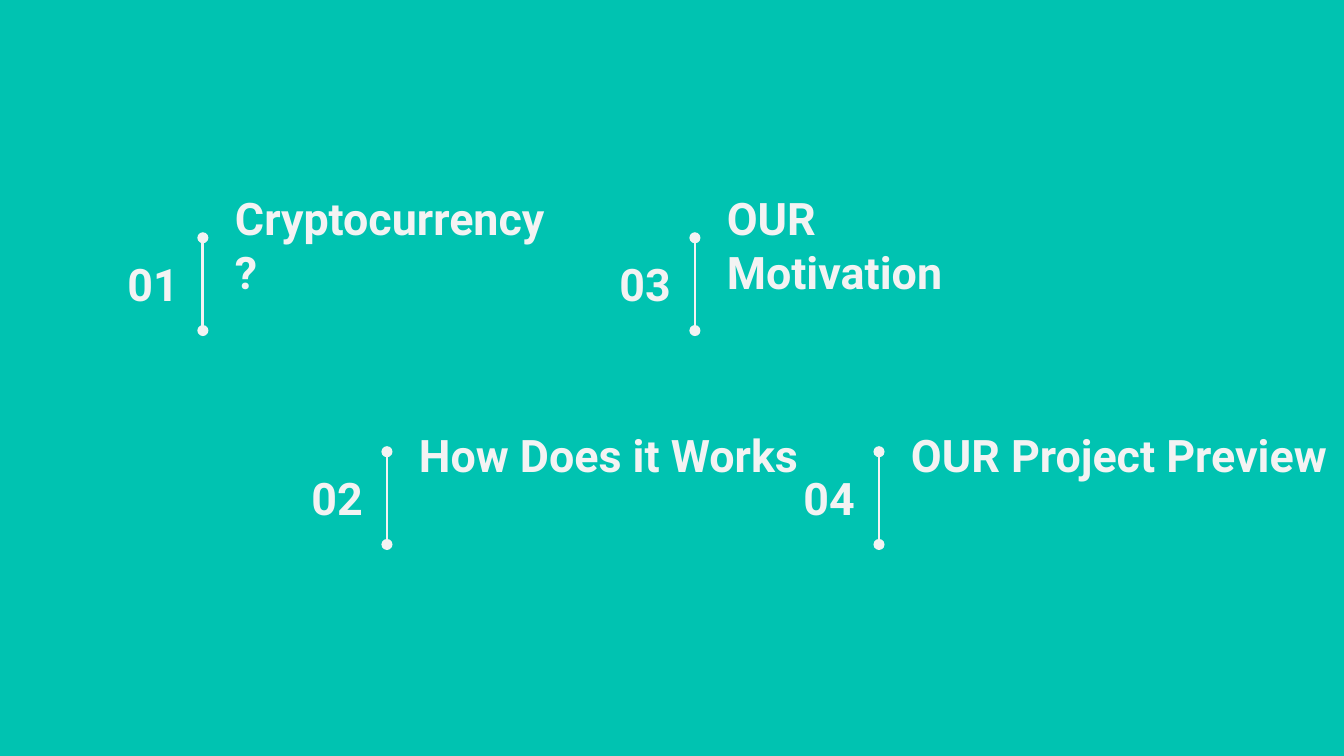
from lxml.etree import SubElement
from pptx import Presentation
from pptx.dml.color import RGBColor
from pptx.enum.shapes import MSO_CONNECTOR as Link
from pptx.enum.text import MSO_ANCHOR as Anchor, MSO_AUTO_SIZE as Fit, PP_ALIGN as Align
from pptx.oxml.ns import qn
from pptx.util import Pt

TEAL = RGBColor(0x00, 0xC3, 0xB1)
PALE = RGBColor(0xF3, 0xF3, 0xF3)
FONT = "Roboto"
ITEMS = [
    ("Cryptocurrency?", 183),
    ("How Does it Works", 226),
    ("OUR Motivation", 183),
    ("OUR Project Preview", 276),
]
ROWS = [(55.4, 127.4, 13), (154, 242, 15)]
COL_STEP = 263.6


def add_label(slide, text, left, top, width, align, shape=None):
    """Place one bold label, in the given shape or in a new text box."""
    box = [Pt(v) for v in (left, top, width, 33)]
    if shape is None:
        shape = slide.shapes.add_textbox(*box)
    shape.left, shape.top, shape.width, shape.height = box
    frame = shape.text_frame
    frame.text = text
    frame.word_wrap = True
    frame.auto_size = Fit.NONE
    frame.vertical_anchor = Anchor.MIDDLE
    frame.margin_left = frame.margin_right = Pt(7.2)
    frame.margin_top = frame.margin_bottom = Pt(7.2)
    para = frame.paragraphs[0]
    para.alignment = align
    font = para.runs[0].font
    font.name, font.size, font.bold = FONT, Pt(24), True
    font.color.rgb = PALE


def add_rule(slide, left, top, height):
    """Draw an upright line with a dot at each end."""
    rule = slide.shapes.add_connector(
        Link.STRAIGHT, Pt(left), Pt(top), Pt(left), Pt(top + height))
    rule.line.color.rgb = PALE
    rule.line.width = Pt(1.5)
    props = rule.line._get_or_add_ln()
    for tag in ("a:headEnd", "a:tailEnd"):
        SubElement(props, qn(tag), type="oval")
    SubElement(rule._element.spPr, qn("a:effectLst"))


def add_item(slide, left, top, lift, number, item, shape=None):
    """Place a number, its rule and its title from the item's top left corner."""
    text, width = item
    add_label(slide, text, left + 63.3, top - lift, width, Align.LEFT, shape)
    add_label(slide, f"{number:02}", left, top + 8, 47.5, Align.RIGHT)
    add_rule(slide, left + 53.3, top, 49.7)


def main():
    """Build the agenda slide and save it."""
    deck = Presentation()
    deck.slide_width, deck.slide_height = Pt(720), Pt(405)
    slide = deck.slides.add_slide(deck.slide_layouts[5])
    fill = slide.background.fill
    fill.solid()
    fill.fore_color.rgb = TEAL
    for i, item in enumerate(ITEMS):
        col, row = divmod(i, len(ROWS))
        left, top, lift = ROWS[row]
        title = slide.shapes.title if i == 0 else None
        add_item(slide, left + col * COL_STEP, top, lift, i + 1, item, title)
    deck.save("out.pptx")


if __name__ == "__main__":
    main()
